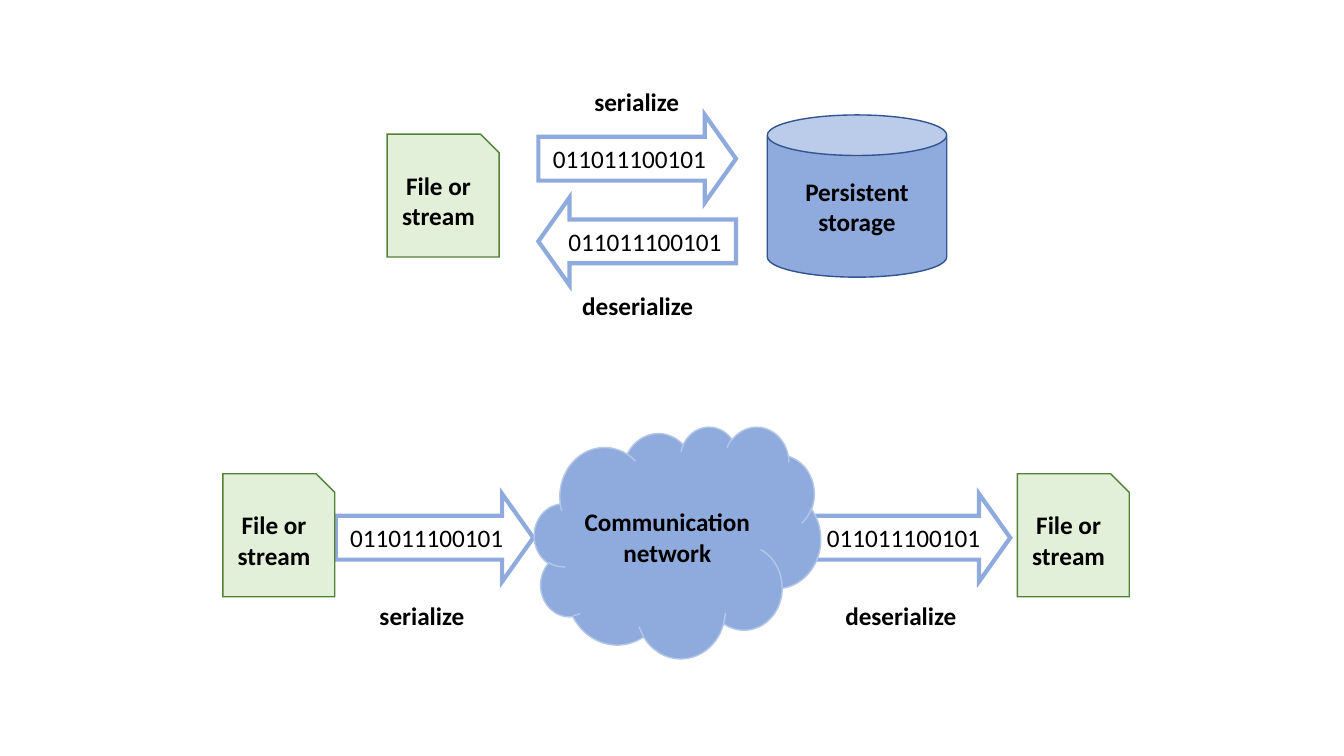
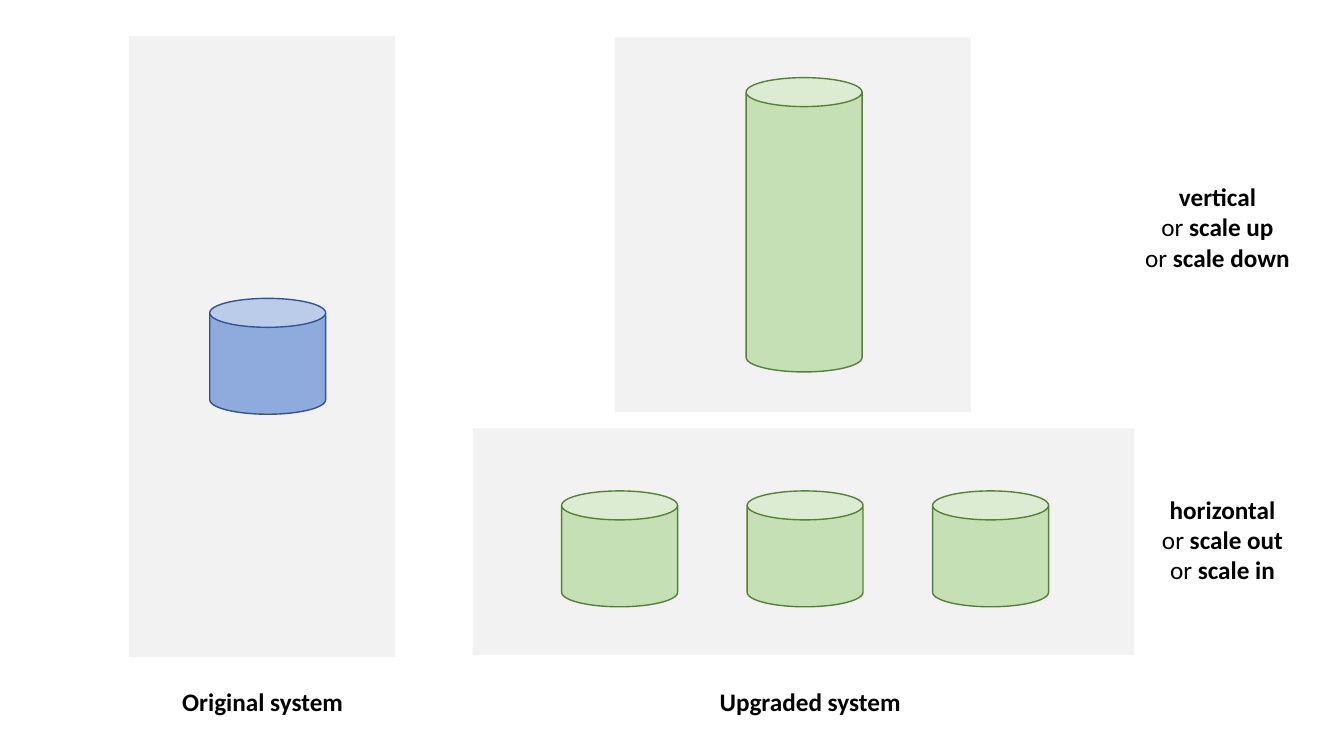
from lxml import etree
from pptx import Presentation
from pptx import util as u
from pptx.dml.color import RGBColor
from pptx.enum import shapes, text
from pptx.oxml import ns

PX = 9144
FONT = "Calibri"
BLACK = RGBColor(0x00, 0x00, 0x00)
WHITE = RGBColor(0xFF, 0xFF, 0xFF)
PANEL_GREY = RGBColor(0xF2, 0xF2, 0xF2)
BLUE = RGBColor(0x8F, 0xAA, 0xDC)
PALE_BLUE = RGBColor(0xB4, 0xC7, 0xE7)
DARK_BLUE = RGBColor(0x32, 0x54, 0x91)
GREEN = RGBColor(0xC5, 0xE0, 0xB4)
PALE_GREEN = RGBColor(0xE2, 0xF0, 0xD9)
DARK_GREEN = RGBColor(0x54, 0x82, 0x35)

BITS = "011011100101"
SHAPE = shapes.MSO_SHAPE


def px(*lengths):
    return [u.Emu(length * PX) for length in lengths]


def write(frame, lines, size=18, bold=True, color=BLACK):
    for index, line in enumerate(lines):
        paragraph = frame.add_paragraph() if index else frame.paragraphs[0]
        paragraph.alignment = text.PP_ALIGN.CENTER
        parts = [(line, bold)] if isinstance(line, str) else line
        for words, heavy in parts:
            run = paragraph.add_run()
            run.text = words
            run.font.name = FONT
            run.font.size = u.Pt(size)
            run.font.bold = heavy
            run.font.color.rgb = color


class Deck:
    def __init__(self, width, height):
        self.show = Presentation()
        self.show.slide_width, self.show.slide_height = px(width, height)
        self.slide = None

    def new_slide(self):
        self.slide = self.show.slides.add_slide(self.show.slide_layouts[6])

    def figure(self, kind, box, fill, outline=None, weight=1, words=None, bold=True):
        shape = self.slide.shapes.add_shape(kind, *px(*box))
        shape.shadow.inherit = False
        shape.fill.solid()
        shape.fill.fore_color.rgb = fill
        if outline is None:
            shape.line.fill.background()
        else:
            shape.line.color.rgb = outline
            shape.line.width = u.Pt(weight)
            line = shape.element.spPr.find(ns.qn("a:ln"))
            etree.SubElement(line, ns.qn("a:miter"), lim="800000")
        if words:
            shape.text_frame.vertical_anchor = text.MSO_ANCHOR.MIDDLE
            write(shape.text_frame, [words], bold=bold)
        return shape

    def panel(self, *box):
        self.figure(SHAPE.RECTANGLE, box, PANEL_GREY)

    def can(self, box, fill, outline, words=None):
        self.figure(SHAPE.CAN, box, fill, outline, words=words)

    def document(self, left, top):
        self.figure(SHAPE.SNIP_1_RECTANGLE, (left, top, 111, 122),
                    PALE_GREEN, DARK_GREEN, words="File or stream")

    def cloud(self, box, words):
        self.figure(SHAPE.CLOUD, box, BLUE, PALE_BLUE, words=words)

    def bit_arrow(self, left, top, kind=SHAPE.RIGHT_ARROW):
        arrow = self.figure(kind, (left, top, 196, 87), WHITE, BLUE,
                            weight=3, words=BITS, bold=False)
        arrow.adjustments[1] = 0.355

    def label(self, box, *lines):
        frame = self.slide.shapes.add_textbox(*px(*box)).text_frame
        frame.word_wrap = False
        frame.auto_size = text.MSO_AUTO_SIZE.SHAPE_TO_FIT_TEXT
        write(frame, lines)


def serialization(deck):
    deck.new_slide()
    for left in (806, 333):
        deck.bit_arrow(left, 490)
    deck.cloud((530, 423, 284, 230), "Communication network")
    for left, top in ((384, 133), (221, 470), (1009, 470)):
        deck.document(left, top)
    deck.can((761, 114, 178, 161), BLUE, DARK_BLUE, "Persistent storage")
    deck.bit_arrow(534, 114)
    deck.bit_arrow(534, 196, SHAPE.LEFT_ARROW)
    for left, top in ((579, 81), (366, 591)):
        deck.label((left, top, 105, 40), "serialize")
    for left, top in ((567, 283), (828, 591)):
        deck.label((left, top, 131, 40), "deserialize")


def scaling(deck):
    deck.new_slide()
    deck.panel(469, 425, 656, 225)
    deck.panel(610, 37, 353, 372)
    deck.panel(128, 36, 264, 616)
    can_size = 115
    deck.can((208, 296, can_size, can_size), BLUE, DARK_BLUE)
    deck.can((740, 77, can_size, 292), GREEN, DARK_GREEN)
    for column in range(3):
        deck.can((557 + 184 * column, 487, can_size, can_size), GREEN, DARK_GREEN)
    directions = (
        ((1125, 175, 165, 101), "vertical", "up", "down"),
        ((1140, 485, 145, 101), "horizontal", "out", "in"),
    )
    for box, direction, *ways in directions:
        synonyms = [[("or", False), (f" scale {way}", True)] for way in ways]
        deck.label(box, direction, *synonyms)
    deck.label((170, 676, 181, 40), "Original system")
    deck.label((703, 676, 201, 40), "Upgraded system")


def main():
    deck = Deck(1333, 750)
    serialization(deck)
    scaling(deck)
    deck.show.save("out.pptx")


if __name__ == "__main__":
    main()
